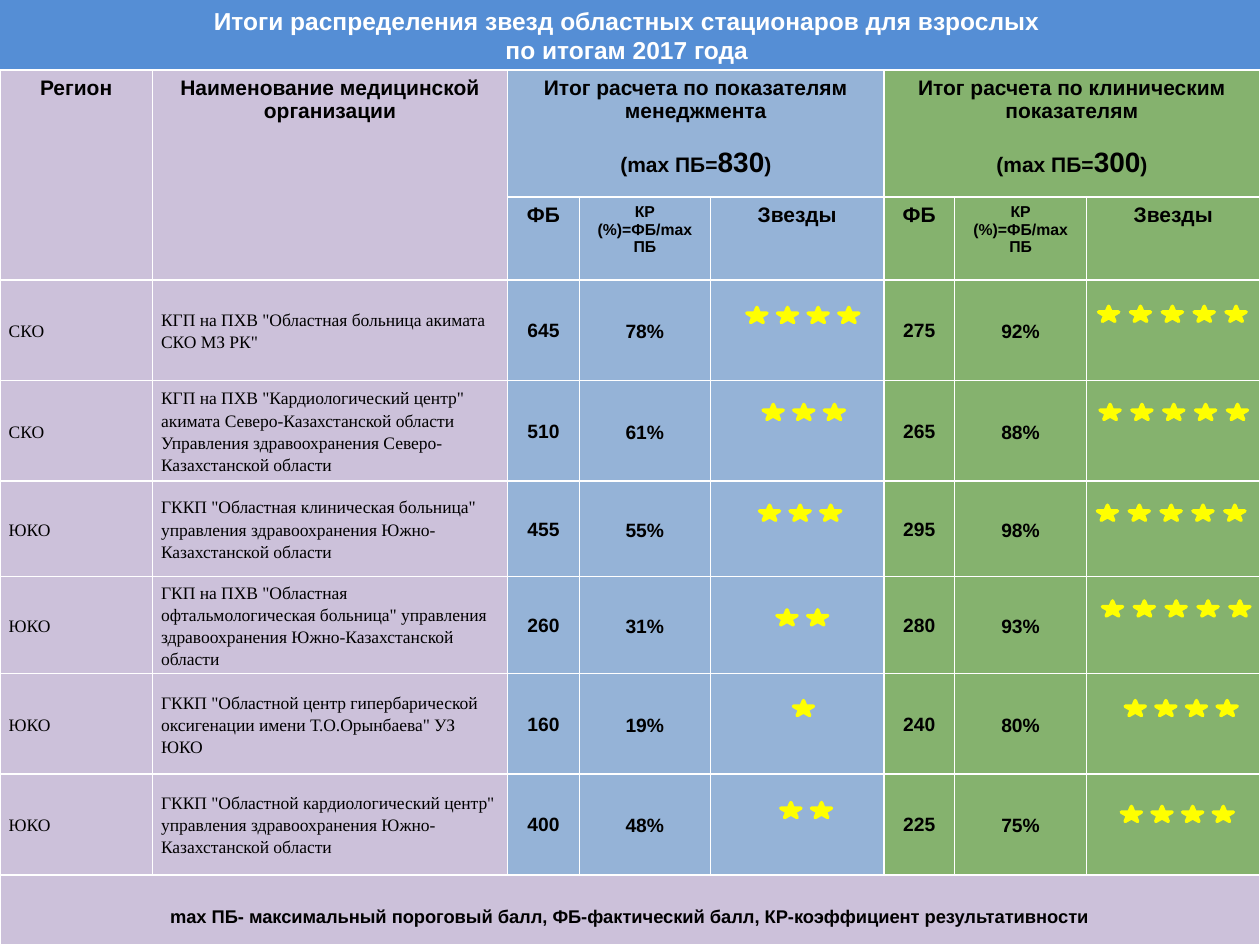
from itertools import accumulate
from lxml.etree import SubElement
from pptx import Presentation
from pptx.dml.color import RGBColor
from pptx.enum.shapes import MSO_SHAPE as Shape
from pptx.enum.text import MSO_ANCHOR as Anchor, PP_ALIGN as Align
from pptx.oxml.ns import qn
from pptx.util import Pt

LILAC, BLUE, GREEN = "CCC1DA", "95B3D7", "85B26E"
TITLE_BLUE, YELLOW, WHITE, BLACK = "558ED5", "FFFF00", "FFFFFF", "000000"
COLUMN_FILLS = [LILAC] * 2 + [BLUE] * 3 + [GREEN] * 3
COLUMN_WIDTHS = [87.1, 203, 41, 74.9, 99.2, 40.3, 75.6, 98.9]
ROW_HEIGHTS = [72.5, 47.5, 57.5, 57.5, 54.5, 55.5, 57.5, 57.5, 40]
TABLE_BOX = (0, 40, 720, 500)
MANAGEMENT_STARS, CLINICAL_STARS = 4, 7
STAR_WIDTH, STAR_HEIGHT = 11.5, 8.6

TITLE = ["Итоги распределения звезд областных стационаров для взрослых", "по итогам 2017 года"]
LEGEND = "mах ПБ- максимальный пороговый балл, ФБ-фактический балл, КР-коэффициент результативности"
HEADINGS = [
    (0, "Регион", None),
    (1, "Наименование медицинской организации", None),
    (2, "Итог расчета по показателям менеджмента", "830"),
    (5, "Итог расчета по клиническим показателям", "300"),
]
SUBHEADINGS = [("ФБ", 12), ("КР (%)=ФБ/max ПБ", 9), ("Звезды", 12)]
HOSPITALS = [
    ("СКО", 'КГП на ПХВ "Областная больница акимата СКО МЗ РК"', "645", "78%", "275", "92%"),
    ("СКО", 'КГП на ПХВ "Кардиологический центр" акимата Северо-Казахстанской области '
     'Управления здравоохранения Северо-Казахстанской области', "510", "61%", "265", "88%"),
    ("ЮКО", 'ГККП "Областная клиническая больница" управления здравоохранения '
     'Южно-Казахстанской области', "455", "55%", "295", "98%"),
    ("ЮКО", 'ГКП на ПХВ "Областная офтальмологическая больница" управления здравоохранения '
     'Южно-Казахстанской области', "260", "31%", "280", "93%"),
    ("ЮКО", 'ГККП "Областной центр гипербарической оксигенации имени Т.О.Орынбаева" УЗ ЮКО',
     "160", "19%", "240", "80%"),
    ("ЮКО", 'ГККП "Областной кардиологический центр" управления здравоохранения '
     'Южно-Казахстанской области', "400", "48%", "225", "75%"),
]
STARS = {
    MANAGEMENT_STARS: [(4, 20.8, 15.7), (3, 30.1, 13.6), (3, 28, 13.7),
                       (2, 38, 19), (1, 47.4, 15.3), (2, 40.2, 16.1)],
    CLINICAL_STARS: [(5, 6.7, 15), (5, 7.5, 13.6), (5, 6, 13.7),
                     (5, 8.9, 13.9), (4, 21.9, 15.3), (4, 19.7, 18.3)],
}


def color(value):
    return RGBColor.from_string(value)


def apply(target, formats):
    for name, value in formats.items():
        setattr(target, name, value)


def paint(item, value):
    item.fill.solid()
    item.fill.fore_color.rgb = color(value)


def write(para, text, size, ink=BLACK, font="Arial", bold=True):
    span = para.add_run()
    span.text = text
    apply(span.font, {"size": Pt(size), "name": font, "bold": bold})
    span.font.color.rgb = color(ink)


def add_title(page, box):
    banner = page.shapes.add_shape(Shape.RECTANGLE, *map(Pt, box))
    banner.shadow.inherit = False
    paint(banner, TITLE_BLUE)
    banner.line.fill.background()
    frame = banner.text_frame
    apply(frame, {"word_wrap": True, "vertical_anchor": Anchor.MIDDLE,
                  "margin_top": 0, "margin_bottom": 0})
    for para, text in zip((frame.paragraphs[0], frame.add_paragraph()), TITLE):
        para.alignment = Align.CENTER
        write(para, text, 14, WHITE)


def style_cell(cell, fill):
    properties = cell._tc.get_or_add_tcPr()
    for side in ("a:lnL", "a:lnR", "a:lnT", "a:lnB"):
        border = SubElement(properties, qn(side), w=str(Pt(1)))
        SubElement(SubElement(border, qn("a:solidFill")), qn("a:srgbClr"), val=WHITE)
    paint(cell, fill)


def set_margins(cell, side, top, bottom=0):
    apply(cell, {"vertical_anchor": Anchor.MIDDLE, "margin_left": Pt(side),
                 "margin_right": Pt(side), "margin_top": Pt(top), "margin_bottom": Pt(bottom)})


def fill_headings(table):
    for column, text, maximum in HEADINGS:
        cell = table.cell(0, column)
        cell.merge(table.cell(0, column + 2) if maximum else table.cell(1, column))
        para = cell.text_frame.paragraphs[0]
        para.alignment = Align.CENTER
        write(para, text, 12)
        if maximum:
            para = cell.text_frame.add_paragraph()
            apply(para, {"alignment": Align.CENTER, "space_before": Pt(13.8)})
            for part, size in (("(mах ПБ=", 12), (maximum, 16), (")", 12)):
                write(para, part, size)
    for column, (text, size) in enumerate(SUBHEADINGS * 2, 2):
        para = table.cell(1, column).text_frame.paragraphs[0]
        para.alignment = Align.CENTER
        write(para, text, size)


def fill_hospital(table, row, values):
    for column, text in zip((0, 1, 2, 3, 5, 6), values):
        cell = table.cell(row, column)
        para = cell.text_frame.paragraphs[0]
        if column in (2, 5):
            set_margins(cell, 0.7, 0.7)
        else:
            set_margins(cell, 5, 0)
            para.line_spacing = 1.15
        if column < 2:
            write(para, text, 10, font="Times New Roman", bold=False)
        else:
            para.alignment = Align.CENTER
            write(para, text, 11)


def fill_legend(table, row):
    cell = table.cell(row, 0)
    cell.merge(table.cell(row, len(COLUMN_WIDTHS) - 1))
    set_margins(cell, 0.7, 8)
    para = cell.text_frame.paragraphs[0]
    para.alignment = Align.CENTER
    write(para, LEGEND, 10.5)


def add_ratings_table(page, box):
    shape = page.shapes.add_table(len(ROW_HEIGHTS), len(COLUMN_WIDTHS), *map(Pt, box))
    table = shape.table
    apply(table, {"first_row": False, "horz_banding": False})
    for column, width in zip(table.columns, COLUMN_WIDTHS):
        column.width = Pt(width)
    for index, (row, height) in enumerate(zip(table.rows, ROW_HEIGHTS)):
        row.height = Pt(height)
        for cell, fill in zip(row.cells, COLUMN_FILLS):
            style_cell(cell, LILAC if index == len(ROW_HEIGHTS) - 1 else fill)
    fill_headings(table)
    for row, values in enumerate(HOSPITALS, 2):
        fill_hospital(table, row, values)
    fill_legend(table, len(ROW_HEIGHTS) - 1)


def add_stars(page, left, top, count):
    shapes = page.shapes.add_group_shape().shapes if count > 1 else page.shapes
    pitch = 18.2 if count == 5 else 17.5
    for index in range(count):
        star = shapes.add_shape(Shape.STAR_5_POINT, Pt(left + index * pitch), Pt(top),
                                Pt(STAR_WIDTH), Pt(STAR_HEIGHT))
        star.shadow.inherit = False
        paint(star, YELLOW)
        star.line.color.rgb = color(YELLOW)
        star.line.width = Pt(2)


def add_all_stars(page, box):
    lefts = list(accumulate(COLUMN_WIDTHS, initial=box[0]))
    tops = list(accumulate(ROW_HEIGHTS, initial=box[1]))
    for column, ratings in STARS.items():
        for top, (count, inset, drop) in zip(tops[2:], ratings):
            add_stars(page, lefts[column] + inset, top + drop, count)


def main():
    deck = Presentation()
    apply(deck, {"slide_width": Pt(720), "slide_height": Pt(540)})
    page = deck.slides.add_slide(deck.slide_layouts[6])
    add_title(page, (-3.6, 0, 723.6, 40))
    add_ratings_table(page, TABLE_BOX)
    add_all_stars(page, TABLE_BOX)
    deck.save("out.pptx")


if __name__ == "__main__":
    main()
